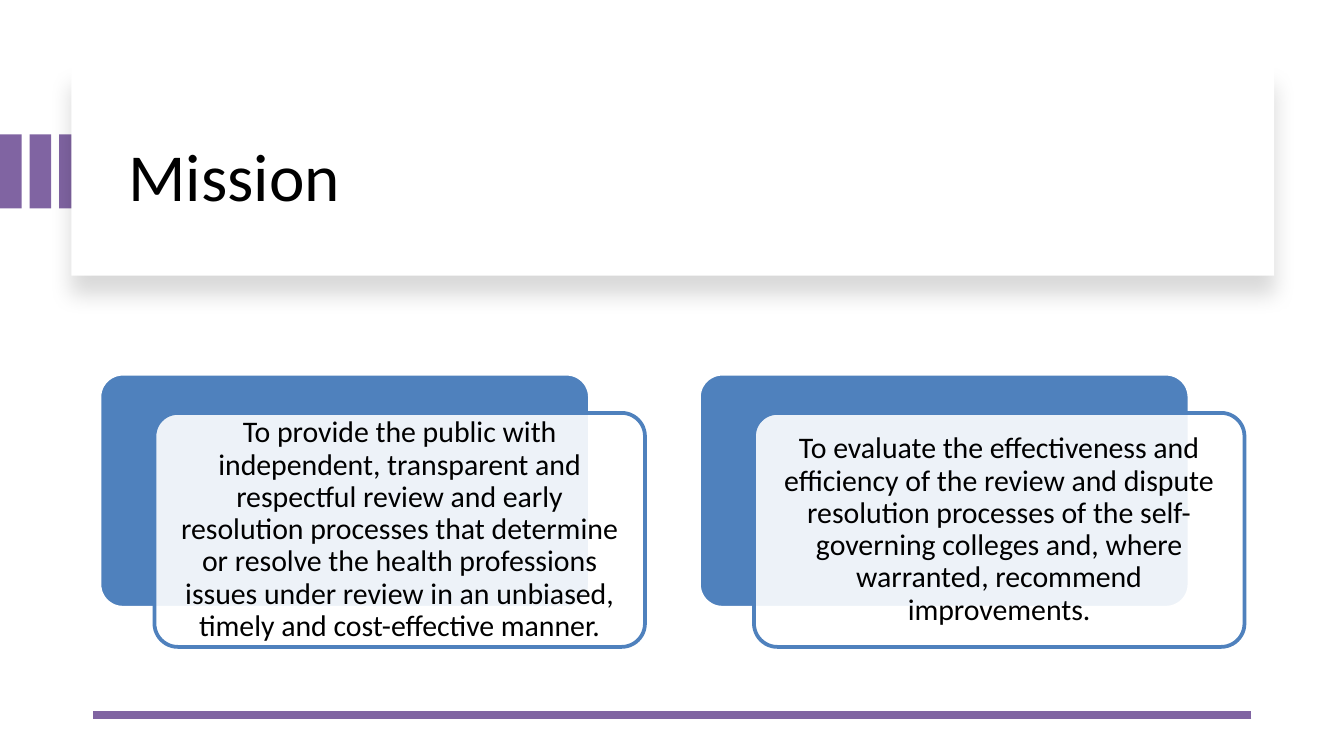
"""Build the Mission slide with two layered statement cards."""
import dataclasses
import typing

import lxml.etree
import pptx
import pptx.dml.color
import pptx.enum.shapes
import pptx.enum.text
import pptx.oxml.ns
import pptx.util

Cm = pptx.util.Cm
Pt = pptx.util.Pt
Kind = pptx.enum.shapes.MSO_SHAPE
Align = pptx.enum.text.PP_ALIGN


@dataclasses.dataclass(frozen=True)
class Theme:
    """Hold the colours, font and type sizes."""
    accent: str = "8064A2"
    blue: str = "4F81BD"
    white: str = "FFFFFF"
    black: str = "000000"
    font: str = "Calibri"
    head: int = 36
    body: int = 16


class Box(typing.NamedTuple):
    """Hold a frame in centimetres."""
    left: float
    top: float
    width: float
    height: float

    def frame(self) -> tuple:
        """Return the frame as lengths."""
        return tuple(Cm(v) for v in self)

    def inset(self, dx: float, dy: float) -> "Box":
        """Return the frame shrunk on each side."""
        return Box(self.left + dx, self.top + dy, self.width - 2 * dx, self.height - 2 * dy)


@dataclasses.dataclass(frozen=True)
class Card:
    """Hold one statement and its place."""
    left: float
    text: str


THEME = Theme()
CARDS = [
    Card(1.88, "To provide the public with independent, transparent and respectful review "
         "and early resolution processes that determine or resolve the health professions "
         "issues under review in an unbiased, timely and cost-effective manner."),
    Card(13.21, "To evaluate the effectiveness and efficiency of the review and dispute "
         "resolution processes of the self-governing colleges and, where warranted, "
         "recommend improvements."),
]


def paint(code: str) -> pptx.dml.color.RGBColor:
    """Turn a hex code into a colour."""
    return pptx.dml.color.RGBColor.from_string(code)


def apply(item: typing.Any, values: dict) -> None:
    """Set each named attribute."""
    for name, value in values.items():
        setattr(item, name, value)


def child(node: typing.Any, tag: str, **values: typing.Any) -> typing.Any:
    """Append a drawing element."""
    return lxml.etree.SubElement(node, pptx.oxml.ns.qn(tag), {k: str(v) for k, v in values.items()})


def block(shapes: typing.Any, box: Box, fill: str, kind: Kind = Kind.RECTANGLE,
          edge: typing.Optional[str] = None) -> typing.Any:
    """Draw a filled shape."""
    shape = shapes.add_shape(kind, *box.frame())
    shape.shadow.inherit = False
    shape.fill.solid()
    shape.fill.fore_color.rgb = paint(fill)
    if kind == Kind.ROUNDED_RECTANGLE:
        shape.adjustments[0] = 0.1
    if edge:
        shape.line.color.rgb = paint(edge)
        shape.line.width = Pt(2)
    else:
        shape.line.fill.background()
    return shape


def write(shape: typing.Any, text: str, size: int, align: Align, sides: float,
          ends: float, gap: float) -> None:
    """Fill a text frame and format it."""
    frame = shape.text_frame
    frame.text = text
    apply(frame, {
        "word_wrap": True, "auto_size": pptx.enum.text.MSO_AUTO_SIZE.NONE,
        "vertical_anchor": pptx.enum.text.MSO_ANCHOR.MIDDLE,
        "margin_left": Cm(sides), "margin_right": Cm(sides),
        "margin_top": Cm(ends), "margin_bottom": Cm(ends),
    })
    para = frame.paragraphs[0]
    apply(para, {"alignment": align, "line_spacing": gap})
    font = para.runs[0].font
    apply(font, {"name": THEME.font, "size": Pt(size)})
    font.color.rgb = paint(THEME.black)


def panel(shapes: typing.Any) -> None:
    """Draw the title panel with its soft shadow."""
    shape = block(shapes, Box(1.35, 1.27, 22.73, 3.94), THEME.white)
    effect = shape.element.spPr.find(pptx.oxml.ns.qn("a:effectLst"))
    shade = child(effect, "a:outerShdw", blurRad=Pt(11), dist=Pt(10), dir=5400000,
                  algn="t", rotWithShape=0)
    child(child(shade, "a:srgbClr", val=THEME.black), "a:alpha", val=15000)


def rule(shapes: typing.Any) -> None:
    """Draw the line at the foot."""
    line = shapes.add_connector(pptx.enum.shapes.MSO_CONNECTOR.STRAIGHT,
                                Cm(23.65), Cm(13.51), Cm(1.75), Cm(13.51))
    line.line.color.rgb = paint(THEME.accent)
    line.line.width = Pt(4.5)
    child(line.element.spPr, "a:effectLst")


def draw(shapes: typing.Any, card: Card) -> None:
    """Draw a card with its backing and text."""
    back = Box(card.left, 7.06, 9.27, 4.42)
    front = back._replace(left=back.left + 1.04, top=back.top + 0.74)
    block(shapes, back, THEME.blue, Kind.ROUNDED_RECTANGLE, THEME.white)
    sheet = block(shapes, front, THEME.white, Kind.ROUNDED_RECTANGLE, THEME.blue)
    tint = sheet.element.spPr.xpath("./a:solidFill/a:srgbClr")[0]
    child(tint, "a:alpha", val=90000)
    label = shapes.add_textbox(*front.inset(0.17, 0.13).frame())
    write(label, card.text, THEME.body, Align.CENTER, 0.18, 0.18, 0.9)


def main() -> None:
    """Build and save the slide."""
    deck = pptx.Presentation()
    apply(deck, {"slide_width": Cm(25.4), "slide_height": Cm(14.28)})
    slide = deck.slides.add_slide(deck.slide_layouts[5])
    shapes = slide.shapes
    title = shapes.title
    bars = shapes.add_group_shape().shapes
    for i in range(3):
        block(bars, Box(0.56 * i, 2.54, 0.41, 1.4), THEME.accent)
    panel(shapes)
    title.element.getparent().append(title.element)
    place = Box(2.18, 1.68, 21.18, 3.23)
    apply(title, dict(zip(place._fields, place.frame())))
    write(title, "Mission", THEME.head, Align.LEFT, 0.25, 0.13, 1.0)
    rule(shapes)
    cards = shapes.add_group_shape().shapes
    for card in CARDS:
        draw(cards, card)
    deck.save("out.pptx")


if __name__ == "__main__":
    main()
